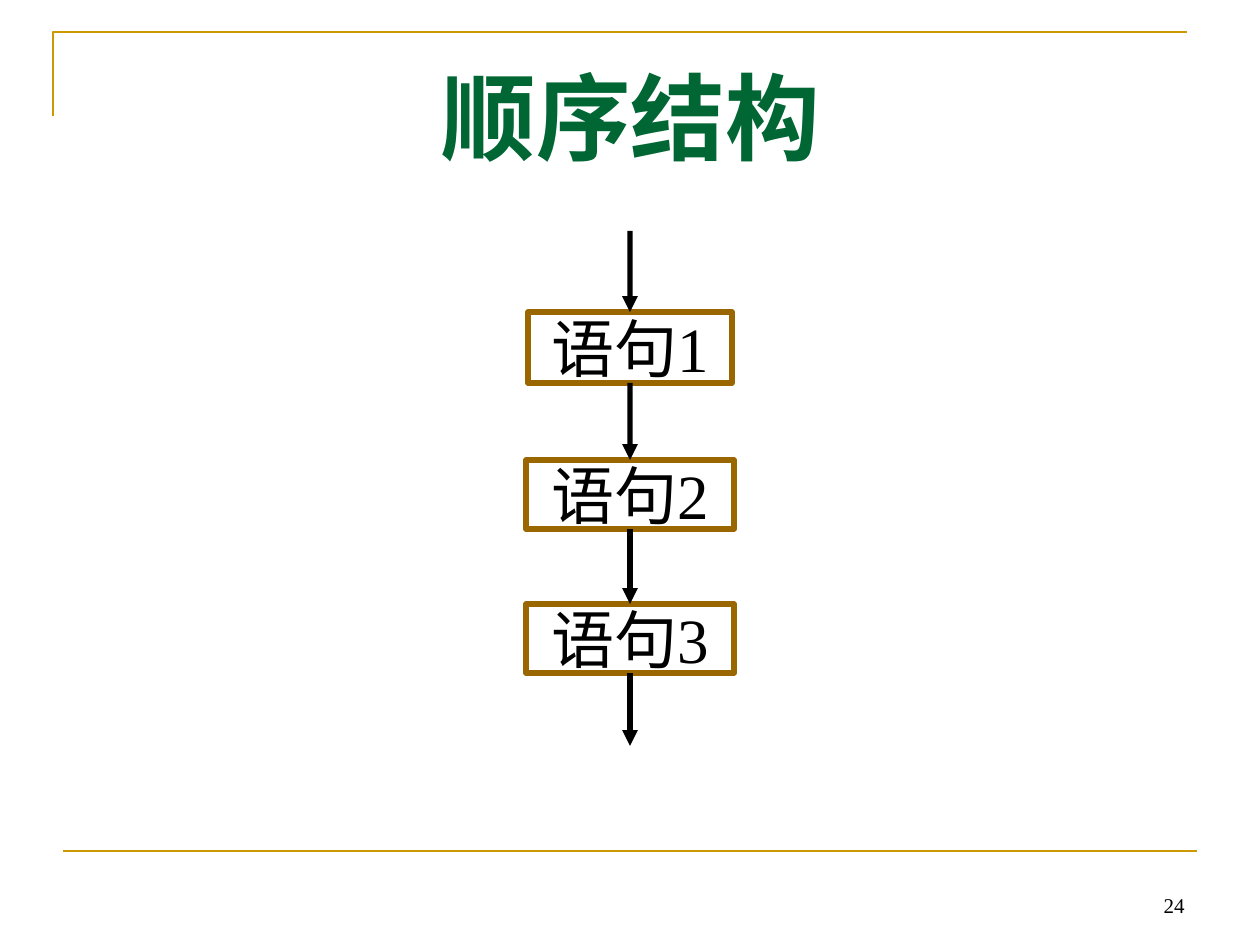
from pptx import Presentation
from pptx.dml.color import RGBColor
from pptx.enum.shapes import MSO_CONNECTOR, MSO_SHAPE
from pptx.enum.text import MSO_ANCHOR, PP_ALIGN
from pptx.oxml.ns import qn
from pptx.util import Emu, Pt
from lxml import etree

EMU_PER_PX = 914400 / 126
FONT = "Times New Roman"
BLACK, GREEN, GOLD, BROWN = "000000", "006633", "CC9900", "996600"
CENTER = 630
TOP, BOTTOM = 0, 2  # connection sites of a rectangle


def px(length):
    return Emu(round(length * EMU_PER_PX))


def color(hex_value):
    return RGBColor.from_string(hex_value)


def set_line(shape, hex_value, width):
    shape.line.color.rgb = color(hex_value)
    shape.line.width = Pt(width)


def write_text(shape, text, size, hex_value, align, anchor, bold=False, wrap=True):
    frame = shape.text_frame
    frame.text = text
    frame.word_wrap = wrap
    frame.vertical_anchor = anchor
    para = frame.paragraphs[0]
    para.alignment = align
    font = para.runs[0].font
    font.name, font.size, font.bold = FONT, Pt(size), bold
    font.color.rgb = color(hex_value)


def add_text(page, left, top, width, height, *text_style, **options):
    box = page.shapes.add_textbox(px(left), px(top), px(width), px(height))
    write_text(box, *text_style, **options)


def add_line(page, start, end, hex_value, width):
    line = page.shapes.add_connector(
        MSO_CONNECTOR.STRAIGHT, *(px(value) for value in (*start, *end)))
    set_line(line, hex_value, width)
    etree.SubElement(line._element.spPr, qn("a:effectLst"))
    return line


def add_corner(page, points):
    builder = page.shapes.build_freeform(*points[0], scale=EMU_PER_PX)
    builder.add_line_segments(points[1:], close=False)
    corner = builder.convert_to_shape()
    corner.shadow.inherit = False
    corner.fill.background()
    set_line(corner, GOLD, 1.5)


def add_statement(page, text, top, width, height):
    box = page.shapes.add_shape(
        MSO_SHAPE.FLOWCHART_PROCESS,
        px(CENTER - width // 2), px(top), px(width), px(height))
    box.shadow.inherit = False
    box.fill.background()
    set_line(box, BROWN, 3)
    write_text(box, text, 36, BLACK, PP_ALIGN.CENTER, MSO_ANCHOR.MIDDLE, wrap=False)
    return box


def add_arrow(page, start_y, end_y, source=None, target=None):
    arrow = add_line(page, (CENTER, start_y), (CENTER, end_y), BLACK, 3)
    etree.SubElement(arrow.line._get_or_add_ln(), qn("a:tailEnd"), type="triangle")
    if source is not None:
        arrow.begin_connect(source, BOTTOM)
    if target is not None:
        arrow.end_connect(target, TOP)


def main():
    deck = Presentation()
    deck.slide_width, deck.slide_height = px(1260), px(945)
    page = deck.slides.add_slide(deck.slide_layouts[6])

    # Frame lines and page number
    add_corner(page, [(53, 116), (53, 32), (1187, 32)])
    add_line(page, (63, 851), (1197, 851), GOLD, 1.5)
    add_text(page, 903, 861, 294, 63, "24", 12, BLACK,
             PP_ALIGN.RIGHT, MSO_ANCHOR.BOTTOM)

    # Title
    add_text(page, 343, 53, 576, 139, "顺序结构", 54, GREEN,
             PP_ALIGN.CENTER, MSO_ANCHOR.TOP, bold=True)

    # Statements, top to bottom
    rows = [(312, 204, 71), (460, 208, 69), (604, 208, 69)]
    boxes = [add_statement(page, f"语句{number}", *row)
             for number, row in enumerate(rows, 1)]

    # Arrows into, between and out of the statements
    tops = [top for top, _, _ in rows] + [746]
    bottoms = [231] + [top + height for top, _, height in rows]
    for start_y, end_y, source, target in zip(
            bottoms, tops, [None] + boxes, boxes + [None]):
        add_arrow(page, start_y, end_y, source, target)

    deck.save("out.pptx")


if __name__ == "__main__":
    main()
